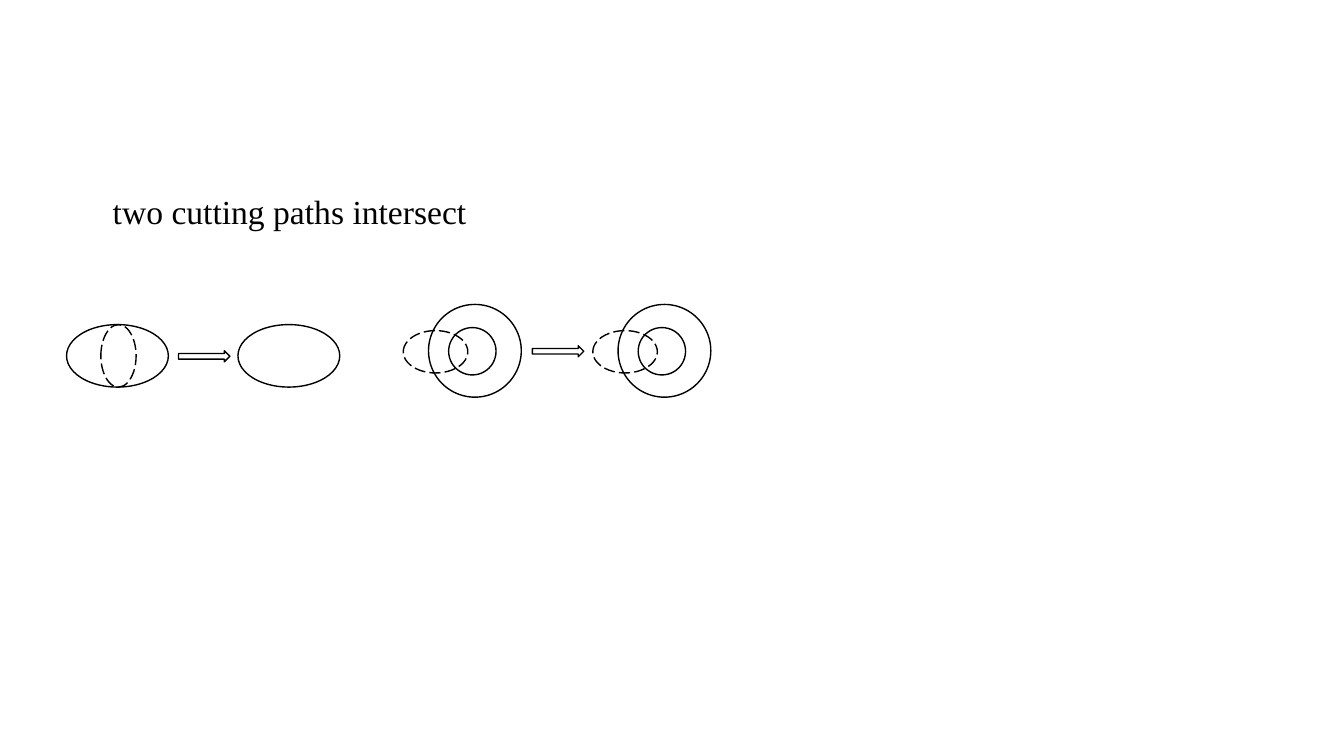
"""Build a slide showing pairs of cutting paths that intersect."""
from pptx import Presentation
from pptx.dml.color import RGBColor
from pptx.enum.dml import MSO_LINE
from pptx.enum.shapes import MSO_SHAPE
from pptx.enum.text import MSO_ANCHOR, MSO_AUTO_SIZE
from pptx.util import Inches, Pt


def color(value):
    return RGBColor.from_string(value)


def add_outline(kind, left, top, width, height, dash=None):
    sp = s.shapes.add_shape(kind, Inches(left), Inches(top), Inches(width), Inches(height))
    sp.shadow.inherit = False
    sp.fill.background()
    sp.line.color.rgb = color("000000")
    sp.line.width = Pt(1)
    if dash:
        sp.line.dash_style = dash


prs = Presentation()
prs.slide_width, prs.slide_height = Inches(13.33), Inches(7.5)
s = prs.slides.add_slide(prs.slide_layouts[6])

tf = s.shapes.add_textbox(Inches(1.02), Inches(1.84), Inches(3.74), Inches(0.5)).text_frame
frame_format = {"word_wrap": False, "auto_size": MSO_AUTO_SIZE.SHAPE_TO_FIT_TEXT,
                "vertical_anchor": MSO_ANCHOR.TOP}
for name, value in frame_format.items():
    setattr(tf, name, value)
r = tf.paragraphs[0].add_run()
r.text = "two cutting paths intersect"
for name, value in {"name": "Times New Roman", "size": Pt(24)}.items():
    setattr(r.font, name, value)
r.font.color.rgb = color("000000")

for left in (0.66, 2.36):
    add_outline(MSO_SHAPE.OVAL, left, 3.22, 1.01, 0.62)
add_outline(MSO_SHAPE.OVAL, 1, 3.22, 0.35, 0.62, MSO_LINE.LONG_DASH)

for left in (4, 5.88):
    add_outline(MSO_SHAPE.OVAL, left, 3.28, 0.64, 0.42, MSO_LINE.LONG_DASH)
    add_outline(MSO_SHAPE.OVAL, left + 0.45, 3.25, 0.47, 0.47)
    add_outline(MSO_SHAPE.OVAL, left + 0.25, 3.02, 0.92, 0.92)

for left, top in ((1.77, 3.48), (5.28, 3.43)):
    add_outline(MSO_SHAPE.RIGHT_ARROW, left, top, 0.51, 0.11)

prs.save("out.pptx")
